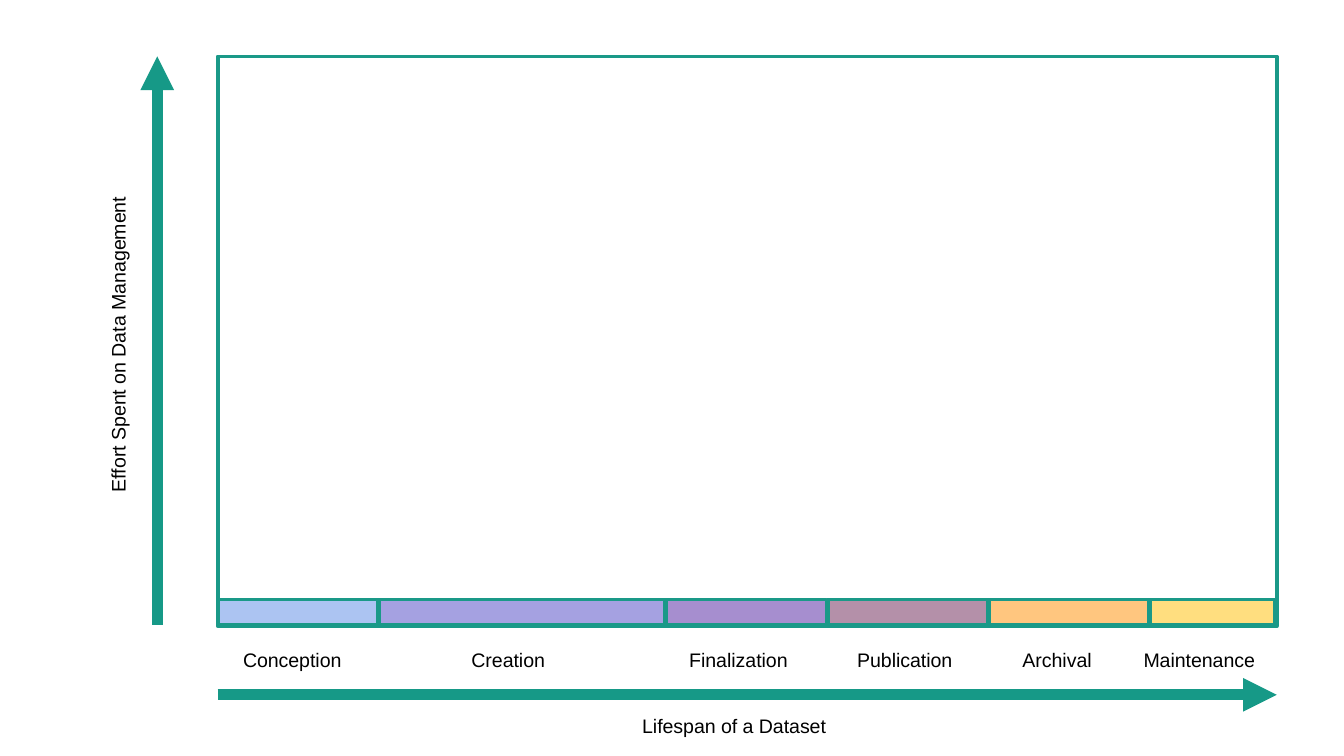
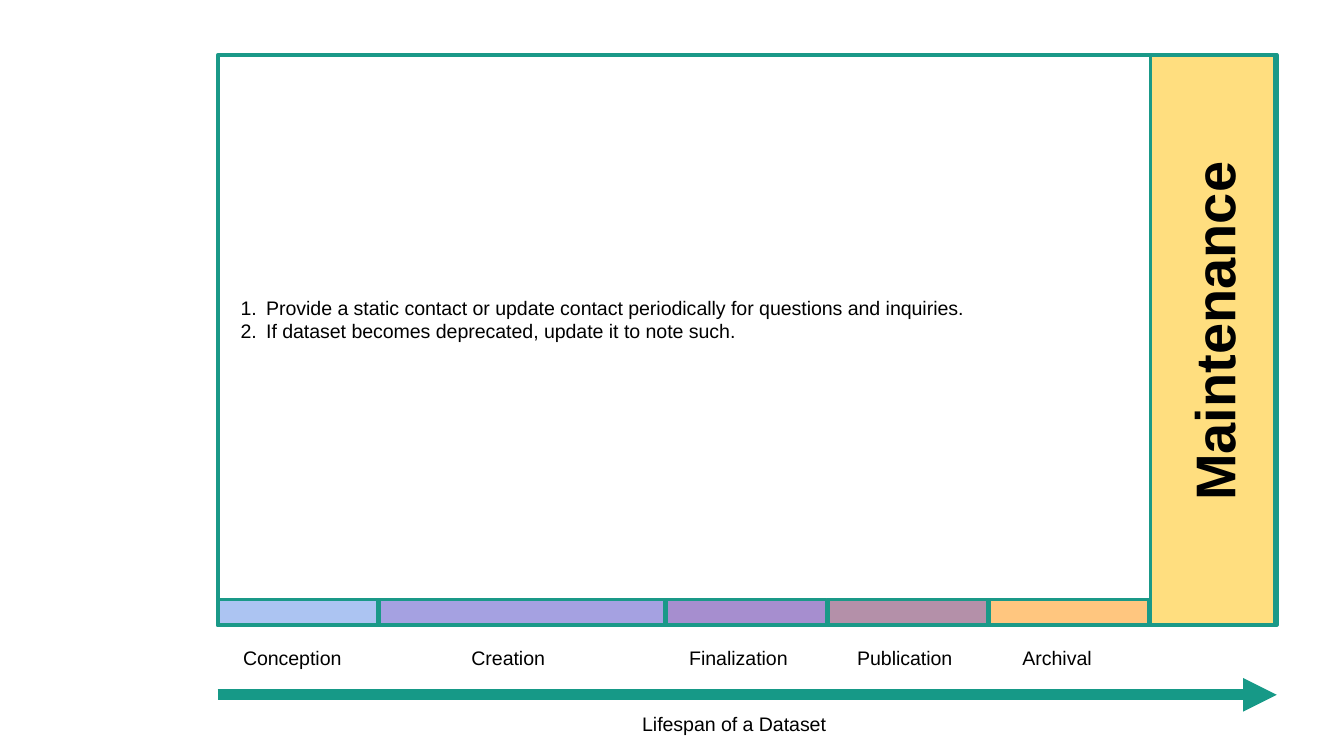
from pptx import Presentation
from pptx.dml.color import RGBColor
from pptx.enum.shapes import MSO_CONNECTOR, MSO_SHAPE
from pptx.enum.text import MSO_ANCHOR, MSO_AUTO_SIZE as AUTO, PP_ALIGN
from pptx.oxml.ns import qn
from pptx.util import Inches, Pt
from lxml.etree import SubElement

FONT = "Arial"
TEXT = "000000"
OUTLINE = "1A9988"
ARROW = "169987"
LEFT, WIDTH, HEIGHT = 1.62, 7.88, 4.24
BAR_TOP, BAR_HEIGHT, BAR_GAP = 4.46, 0.19, 0.01
LABEL_HEIGHT = 0.28
STAGES = [
    ("Conception", 1.19, "5A8BE7", 1.71, 0.95),
    ("Creation", 2.13, "4D45C4", 3.41, 0.76),
    ("Finalization", 1.19, "4E1FA0", 5.03, 0.95),
    ("Publication", 1.19, "6A2355", 6.28, 0.93),
    ("Archival", 1.19, "FF8F00", 7.51, 0.73),
    ("Maintenance", 0.93, "FFBE00", 8.41, 1.05),
]
MAINTENANCE_STEPS = [
    "Provide a static contact or update contact periodically for questions and inquiries.",
    "If dataset becomes deprecated, update it to note such.",
]


def rgb(color):
    return RGBColor.from_string(color)


def place(sp, left, top, width, height):
    sp.left, sp.top = Inches(left), Inches(top)
    sp.width, sp.height = Inches(width), Inches(height)


def add_run(p, text, size=10.5, bold=False):
    r = p.add_run()
    r.text = text
    r.font.name, r.font.size, r.font.bold = FONT, Pt(size), bold
    r.font.color.rgb = rgb(TEXT)


def add_box(s, box, fill, alpha=None):
    sp = s.shapes.add_shape(MSO_SHAPE.RECTANGLE, *map(Inches, box))
    sp.shadow.inherit = False
    sp.fill.solid()
    sp.fill.fore_color.rgb = rgb(fill)
    if alpha:
        color = sp.element.spPr.find(qn("a:solidFill")).find(qn("a:srgbClr"))
        SubElement(color, qn("a:alpha"), val=str(alpha * 1000))
    sp.line.color.rgb = rgb(OUTLINE)
    sp.line.width = Pt(2)


def add_arrow(s, *ends):
    cxn = s.shapes.add_connector(MSO_CONNECTOR.STRAIGHT, *map(Inches, ends))
    cxn.line.color.rgb = rgb(ARROW)
    cxn.line.width = Pt(6)
    spPr = cxn.element.spPr
    SubElement(spPr.find(qn("a:ln")), qn("a:tailEnd"), type="triangle")
    SubElement(spPr, qn("a:effectLst"))


def add_label(s, text, left, top, width, rotation=0):
    sp = s.shapes.add_textbox(*map(Inches, (left, top, width, LABEL_HEIGHT)))
    sp.rotation = rotation
    tf = sp.text_frame
    tf.word_wrap = False
    tf.auto_size = AUTO.SHAPE_TO_FIT_TEXT
    add_run(tf.paragraphs[0], text)


def add_timeline(s, top, tall_stage=None):
    add_box(s, (LEFT, top, WIDTH, HEIGHT), "FFFFFF")
    add_arrow(s, LEFT, 5.17, LEFT + WIDTH, 5.17)
    add_label(s, "Lifespan of a Dataset", 4.68, top + 4.84, 1.6)
    left = LEFT
    for name, width, color, label_left, label_width in STAGES:
        if name == tall_stage:
            add_box(s, (left, top, width, BAR_TOP + BAR_HEIGHT - top), color, 50)
        else:
            add_box(s, (left, BAR_TOP, width, BAR_HEIGHT), color, 50)
            add_label(s, name, label_left, top + 4.35, label_width)
        left += width + BAR_GAP


def bring_to_front(sp):
    sp.element.getparent().append(sp.element)


def fill_title(s, text, *box):
    sp = s.shapes.title
    place(sp, *box)
    sp.rotation = 270
    bring_to_front(sp)
    tf = sp.text_frame
    tf.word_wrap = False
    tf.auto_size = AUTO.NONE
    tf.vertical_anchor = MSO_ANCHOR.MIDDLE
    p = tf.paragraphs[0]
    p.alignment = PP_ALIGN.CENTER
    add_run(p, text, 30, True)


def fill_numbered_list(s, items, *box):
    sp = s.placeholders[1]
    place(sp, *box)
    bring_to_front(sp)
    tf = sp.text_frame
    tf.auto_size = AUTO.NONE
    for i, item in enumerate(items):
        p = tf.add_paragraph() if i else tf.paragraphs[0]
        pPr = p._p.get_or_add_pPr()
        pPr.set("marL", str(Inches(0.19)))
        pPr.set("indent", str(Inches(-0.19)))
        SubElement(SubElement(pPr, qn("a:buClr")), qn("a:srgbClr"), val=TEXT)
        SubElement(pPr, qn("a:buFont"), typeface=FONT)
        SubElement(pPr, qn("a:buAutoNum"), type="arabicPeriod")
        p.space_before = Pt(0)
        add_run(p, item)


def main():
    prs = Presentation()
    prs.slide_width, prs.slide_height = Inches(10), Inches(10 * 9 / 16)

    s = prs.slides.add_slide(prs.slide_layouts[6])
    add_timeline(s, 0.42)
    add_arrow(s, 1.17, 4.65, 1.17, 0.42)
    add_label(s, "Effort Spent on Data Management", -0.34, 2.4, 2.44, 270)

    s = prs.slides.add_slide(prs.slide_layouts[1])
    add_timeline(s, 0.41, "Maintenance")
    fill_numbered_list(s, MAINTENANCE_STEPS, 1.69, 2.15, 5.96, 0.45)
    fill_title(s, "Maintenance", 7.65, 2.16, 2.75, 0.61)

    prs.save("out.pptx")


if __name__ == "__main__":
    main()
